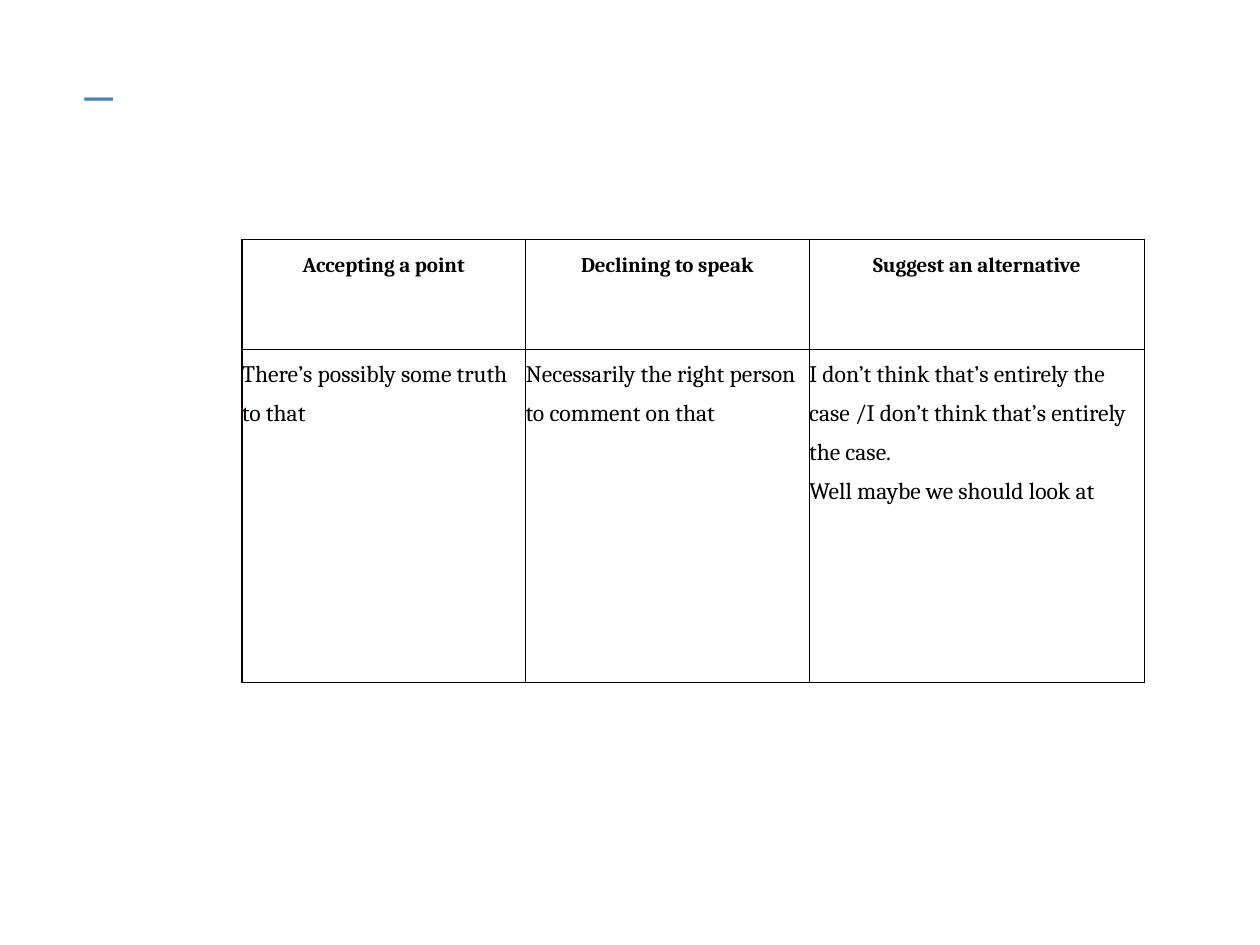
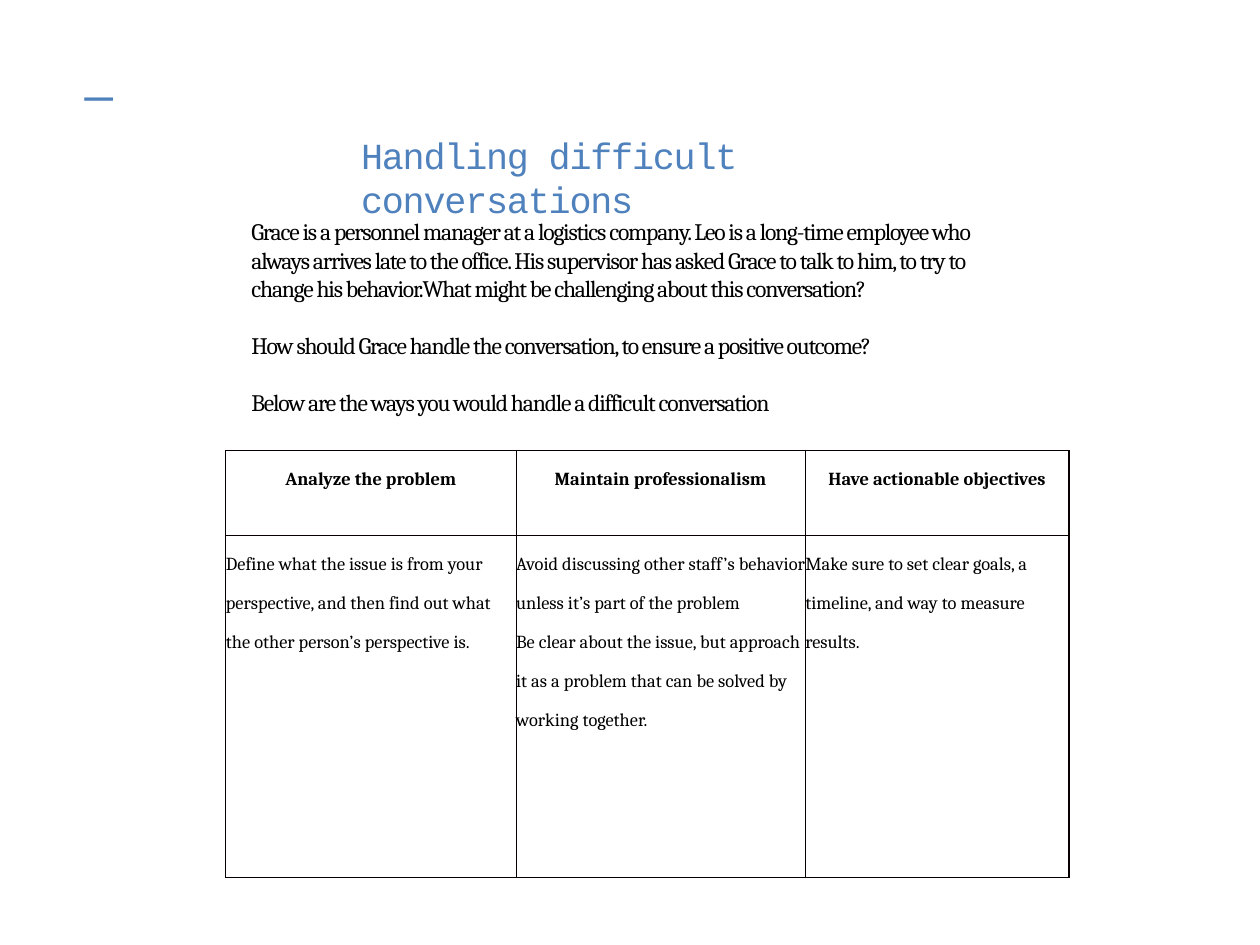
from lxml import etree
from pptx import Presentation
from pptx.dml.color import RGBColor
from pptx.enum.text import MSO_ANCHOR, MSO_AUTO_SIZE, PP_ALIGN
from pptx.oxml.ns import qn
from pptx.util import Inches, Pt

LEFT, CENTER = PP_ALIGN.LEFT, PP_ALIGN.CENTER
TOP = MSO_ANCHOR.TOP
NO_AUTOSIZE = MSO_AUTO_SIZE.NONE

ACCENT = "4F81BD"
TEXT = "000000"
BORDER = "080000"
SERIF = "Cambria"
TABLE_LINE = 29.75
BODY_LINE = 21.6
CONTENT_LAYOUT, BLANK_LAYOUT = 1, 6


def color(value):
    return RGBColor.from_string(value)


def format_para(para, font, size, fill, bold=False, align=LEFT, line=None, condensed=False):
    para.alignment = align
    para.space_before = para.space_after = Pt(0)
    if line:
        para.line_spacing = Pt(line)
    for span in para.runs:
        span.font.name = font
        span.font.size = Pt(size)
        span.font.bold = bold
        span.font.color.rgb = color(fill)
        if condensed:
            span._r.get_or_add_rPr().set("spc", "-90")


def place(shape, box):
    """Move a shape to box (left, top, width, height in inches) and fix its frame."""
    shape.left, shape.top, shape.width, shape.height = map(Inches, box)
    frame = shape.text_frame
    frame.word_wrap = True
    frame.auto_size = NO_AUTOSIZE
    frame.vertical_anchor = TOP
    return frame


def add_accent_dash(page):
    box = (0.42, 0.33, 1.25, 1.62)
    frame = place(page.shapes.add_textbox(*map(Inches, box)), box)
    frame.margin_left = frame.margin_right = Inches(0.05)
    frame.text = "_"
    format_para(frame.paragraphs[0], "Calibri", 44, ACCENT, align=CENTER)


def set_title(page, text, box):
    frame = place(page.shapes.title, box)
    frame.text = text
    format_para(frame.paragraphs[0], "Courier New", 28, ACCENT, line=33.6, condensed=True)


def set_body(page, texts, box):
    frame = place(page.placeholders[1], box)
    frame.text = "\n".join(texts)
    for index, para in enumerate(frame.paragraphs):
        properties = para._p.get_or_add_pPr()
        properties.set("marL", "0")
        properties.set("indent", "0")
        etree.SubElement(properties, qn("a:buNone"))
        format_para(para, SERIF, 18, TEXT, line=BODY_LINE, condensed=True)
        if index:
            para.space_before = Pt(BODY_LINE)


def add_borders(cell):
    properties = cell._tc.get_or_add_tcPr()
    for side in ("lnL", "lnR", "lnT", "lnB"):
        line = etree.SubElement(properties, qn(f"a:{side}"), w=str(Pt(1)))
        fill = etree.SubElement(line, qn("a:solidFill"))
        etree.SubElement(fill, qn("a:srgbClr"), val=BORDER)


def add_phrase_table(page, rows, box, widths, heights, sizes):
    """Add a bordered table with a bold header row; sizes are header and text points."""
    table = page.shapes.add_table(len(rows), len(widths), *map(Inches, box)).table
    table.first_row = table.horz_banding = False
    for column, width in zip(table.columns, widths):
        column.width = Inches(width)
    for index, (row, height) in enumerate(zip(table.rows, heights)):
        row.height = Inches(height)
        header = index == 0
        for cell, text in zip(row.cells, rows[index]):
            cell.margin_left = cell.margin_right = cell.margin_top = cell.margin_bottom = 0
            add_borders(cell)
            cell.fill.background()
            cell.text_frame.text = text
            for para in cell.text_frame.paragraphs:
                format_para(para, SERIF, sizes[index], TEXT, bold=header,
                            align=CENTER if header else LEFT, line=TABLE_LINE)


def add_page(deck, layout):
    page = deck.slides.add_slide(deck.slide_layouts[layout])
    add_accent_dash(page)
    return page


def build_phrases(deck):
    page = add_page(deck, BLANK_LAYOUT)
    rows = [
        ["Accepting a point", "Declining to speak", "Suggest an alternative"],
        [
            "There’s possibly some truth to that",
            "Necessarily the right person to comment on that",
            "I don’t think that’s entirely the case /I don’t think that’s entirely the case.\n"
            "Well maybe we should look at",
        ],
    ]
    add_phrase_table(page, rows, (2.56, 2.53, 9.55, 4.69),
                     widths=(3, 3, 3.55), heights=(1.17, 3.52), sizes=(16, 18))


def build_conversations(deck):
    page = add_page(deck, CONTENT_LAYOUT)
    set_title(page, "Handling difficult conversations", (3.72, 1.35, 6.26, 0.6))
    set_body(page, [
        "Grace is a personnel manager at a logistics company. Leo is a long-time employee who "
        "always arrives late to the office. His supervisor has asked Grace to talk to him, to "
        "try to change his behavior.What might be challenging about this conversation?",
        "How should Grace handle the conversation, to ensure a positive outcome?",
        "Below are the ways you would handle a difficult conversation",
    ], (2.56, 2.25, 8.22, 2.4))
    rows = [
        ["Analyze the problem", "Maintain professionalism", "Have actionable objectives"],
        [
            "Define what the issue is from your perspective, and then find out what the other "
            "person’s perspective is.",
            "Avoid discussing other staff’s behavior unless it’s part of the problem\n"
            "Be clear about the issue, but approach it as a problem that can be solved by "
            "working together.",
            "Make sure to set clear goals, a timeline, and way to measure results.",
        ],
    ]
    add_phrase_table(page, rows, (2.39, 4.77, 8.92, 4.52),
                     widths=(3.07, 3.06, 2.79), heights=(0.9, 3.62), sizes=(14, 14))


def main():
    deck = Presentation()
    deck.slide_width, deck.slide_height = Inches(13.33), Inches(10)
    build_phrases(deck)
    build_conversations(deck)
    deck.save("out.pptx")


if __name__ == "__main__":
    main()
